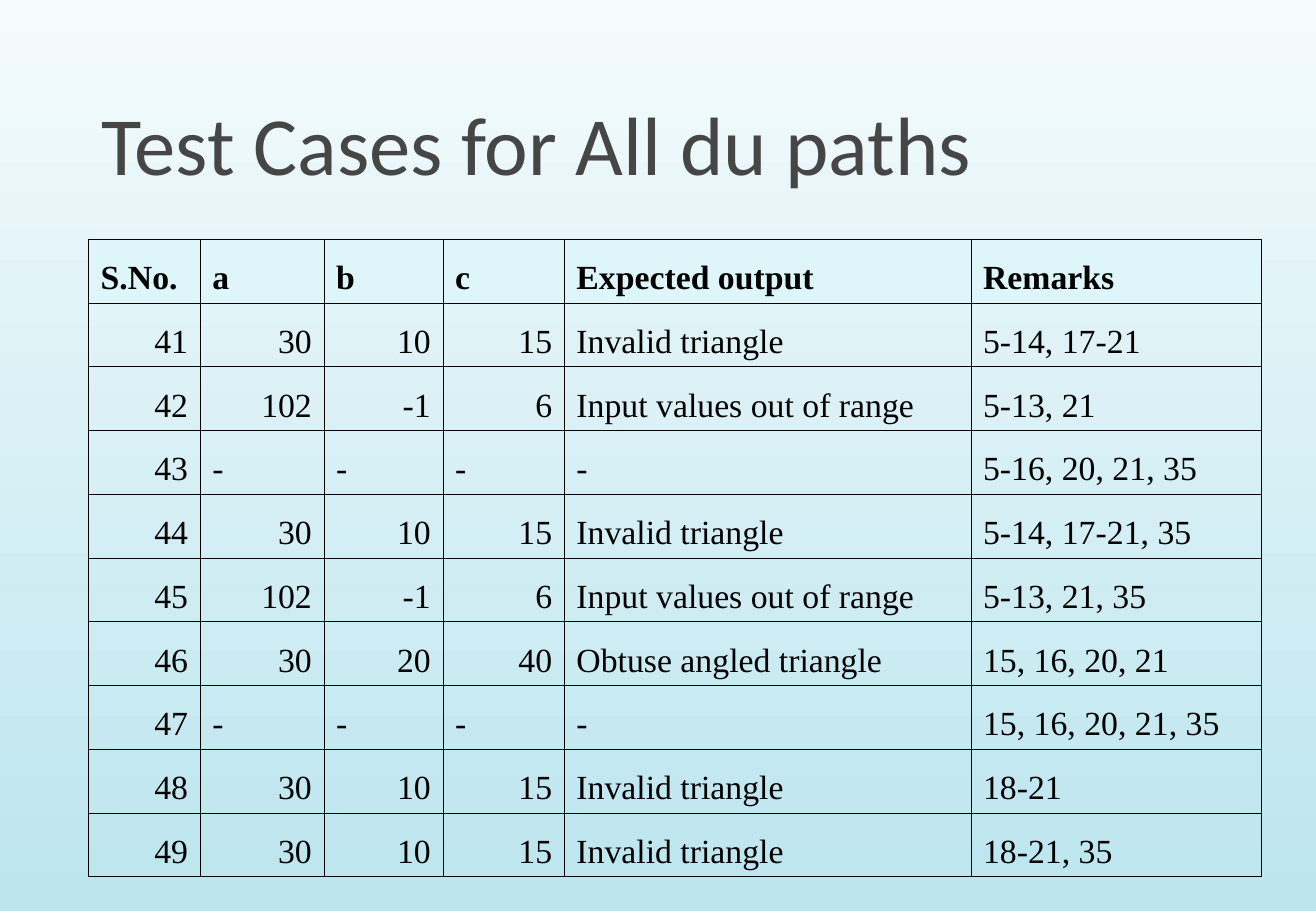
import dataclasses
import typing

import lxml.etree
import pptx
import pptx.dml.color
import pptx.enum.text
import pptx.oxml.ns
import pptx.util

SLIDE_W = pptx.util.Inches(10.84)
SLIDE_H = pptx.util.Inches(7.5)
COLORS = {
    "sky_top": "F4FBFC",
    "sky_bottom": "BCE5EF",
    "header": "DEF5FA",
    "title": "464646",
    "ink": "000000",
}
BORDER = pptx.util.Pt(0.45)


@dataclasses.dataclass(frozen=True)
class Area:
    left: float
    top: float
    width: float
    height: float

    def emu(self) -> tuple[int, int, int, int]:
        return across(self.left), down(self.top), across(self.width), down(self.height)


class Case(typing.NamedTuple):
    number: str
    a: str
    b: str
    c: str
    expected: str
    remarks: str


TITLE_AREA = Area(6.64, 2.27, 89.11, 19.6)
TABLE_AREA = Area(6.73, 26.27, 89.11, 70)
COLUMN_WEIGHTS = (92, 102, 98, 100, 335, 239)
NUMERIC_COLUMNS = 4
HANGING_INDENT = 3.78

ROWS = [
    Case("S.No.", "a", "b", "c", "Expected output", "Remarks"),
    Case("41", "30", "10", "15", "Invalid triangle", "5-14, 17-21"),
    Case("42", "102", "-1", "6", "Input values out of range", "5-13, 21"),
    Case("43", "-", "-", "-", "-", "5-16, 20, 21, 35"),
    Case("44", "30", "10", "15", "Invalid triangle", "5-14, 17-21, 35"),
    Case("45", "102", "-1", "6", "Input values out of range", "5-13, 21, 35"),
    Case("46", "30", "20", "40", "Obtuse angled triangle", "15, 16, 20, 21"),
    Case("47", "-", "-", "-", "-", "15, 16, 20, 21, 35"),
    Case("48", "30", "10", "15", "Invalid triangle", "18-21"),
    Case("49", "30", "10", "15", "Invalid triangle", "18-21, 35"),
]


def across(percent: float) -> int:
    return round(SLIDE_W * percent / 100)


def down(percent: float) -> int:
    return round(SLIDE_H * percent / 100)


def rgb(name: str) -> pptx.dml.color.RGBColor:
    return pptx.dml.color.RGBColor.from_string(COLORS[name])


def set_font(p, name: str, size: float, color: str, bold: bool = False) -> None:
    p.font.name = name
    p.font.size = pptx.util.Pt(size)
    p.font.bold = bold
    p.font.color.rgb = rgb(color)


def paint_background(s) -> None:
    fill = s.background.fill
    fill.gradient()
    fill.gradient_angle = 270
    for stop, color in zip(fill.gradient_stops, ("sky_top", "sky_bottom")):
        stop.color.rgb = rgb(color)


def add_title(s, text: str) -> None:
    tf = s.shapes.add_textbox(*TITLE_AREA.emu()).text_frame
    tf.word_wrap = True
    tf.vertical_anchor = pptx.enum.text.MSO_ANCHOR.BOTTOM
    tf.margin_left = tf.margin_right = across(1.1)
    tf.margin_top = tf.margin_bottom = down(0.8)
    p = tf.paragraphs[0]
    p.text = text
    set_font(p, "Calibri", 49, "title")


def add_borders(cell) -> None:
    qn = pptx.oxml.ns.qn
    props = cell._tc.get_or_add_tcPr()
    for side in ("lnL", "lnR", "lnT", "lnB"):
        line = lxml.etree.SubElement(props, qn(f"a:{side}"), w=str(int(BORDER)))
        fill = lxml.etree.SubElement(line, qn("a:solidFill"))
        lxml.etree.SubElement(fill, qn("a:srgbClr"), val=COLORS["ink"])


def fill_cell(cell, text: str, header: bool, numeric: bool) -> None:
    add_borders(cell)
    if header:
        cell.fill.solid()
        cell.fill.fore_color.rgb = rgb("header")
    else:
        cell.fill.background()
    cell.vertical_anchor = pptx.enum.text.MSO_ANCHOR.BOTTOM
    p = cell.text_frame.paragraphs[0]
    p.text = text
    indent = across(HANGING_INDENT)
    props = p._p.get_or_add_pPr()
    props.set("marL", str(indent))
    props.set("indent", str(-indent))
    align = pptx.enum.text.PP_ALIGN
    p.alignment = align.RIGHT if numeric else align.LEFT
    set_font(p, "Times New Roman", 20, "ink", header)


def add_case_table(s, rows: list[Case]) -> None:
    area = TABLE_AREA.emu()
    table = s.shapes.add_table(len(rows), len(COLUMN_WEIGHTS), *area).table
    table.first_row = table.horz_banding = False
    for column, weight in zip(table.columns, COLUMN_WEIGHTS):
        column.width = round(area[2] * weight / sum(COLUMN_WEIGHTS))
    for i, row in enumerate(rows):
        for j, text in enumerate(row):
            numeric = i > 0 and j < NUMERIC_COLUMNS and text != "-"
            fill_cell(table.cell(i, j), text, i == 0, numeric)


def main() -> None:
    prs = pptx.Presentation()
    prs.slide_width, prs.slide_height = SLIDE_W, SLIDE_H
    s = prs.slides.add_slide(prs.slide_layouts[6])
    paint_background(s)
    add_title(s, "Test Cases for All du paths")
    add_case_table(s, ROWS)
    prs.save("out.pptx")


if __name__ == "__main__":
    main()
